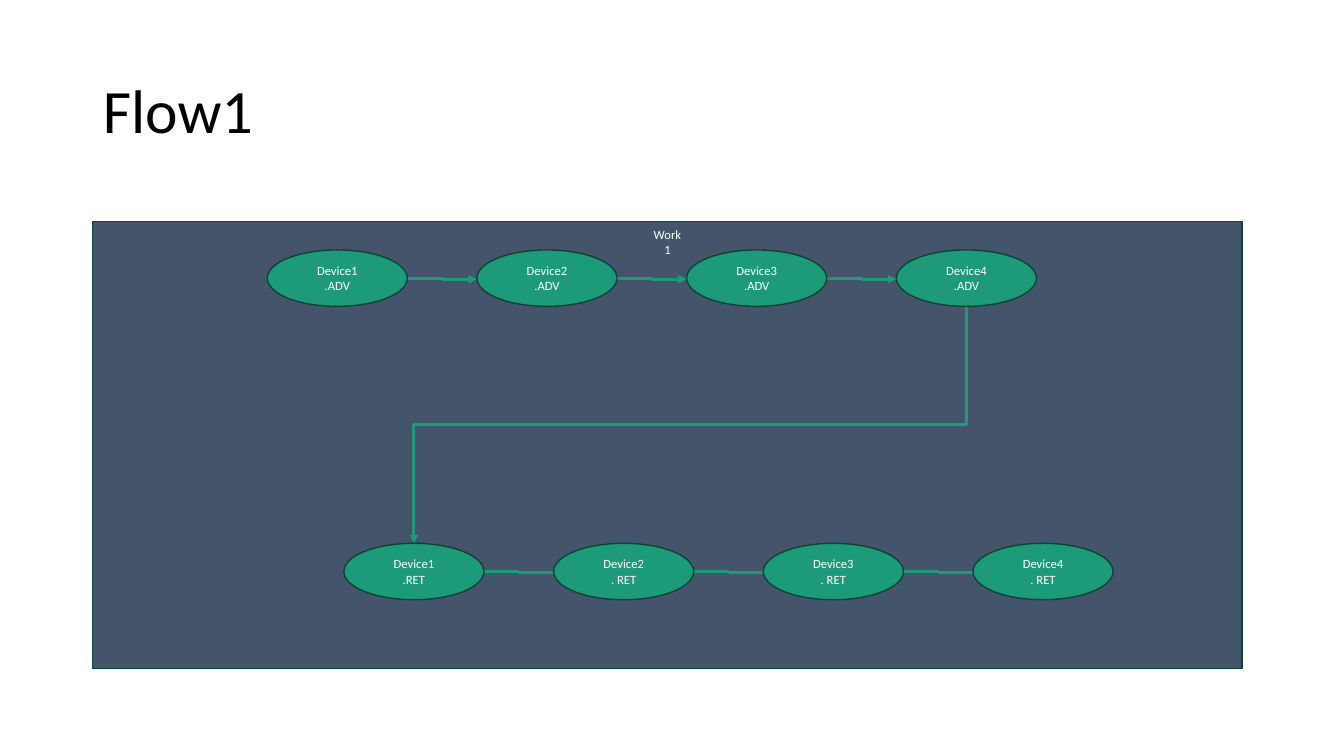
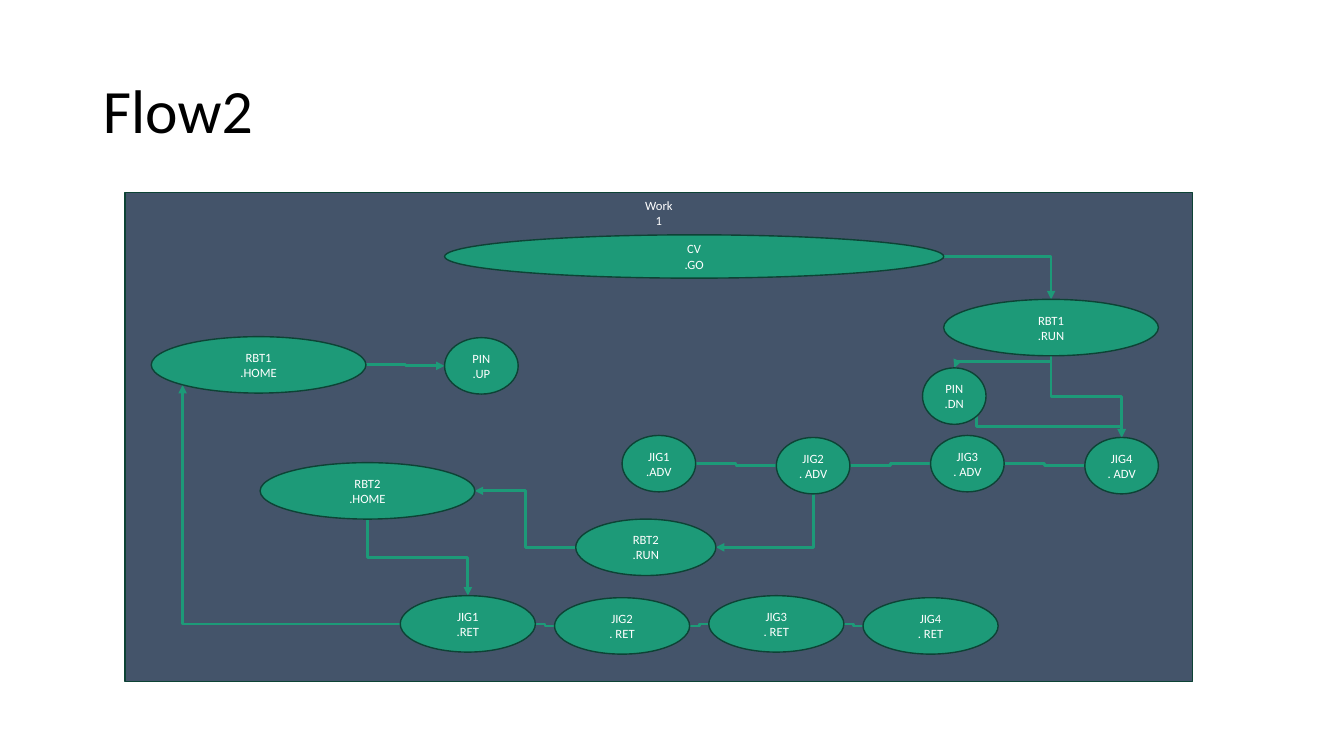
from dataclasses import dataclass
from lxml import etree
from pptx import Presentation
from pptx.dml.color import RGBColor
from pptx.enum import shapes, text
from pptx.oxml.ns import qn
from pptx.util import Inches, Pt


@dataclass(frozen=True)
class Theme:
    font: str = "Calibri"
    title_size: int = 44
    label_size: int = 9
    ink: str = "000000"
    label: str = "FFFFFF"
    panel: str = "44546A"
    node: str = "1D9A78"
    outline: str = "0D4335"
    outline_width: int = 1
    link_width: int = 2


THEME = Theme()
NODE_H = 0.56
DIAGONAL = 0.5 ** 0.5
SIDES = {
    "l": (-1, 0), "r": (1, 0), "t": (0, -1), "b": (0, 1),
    "bl": (-DIAGONAL, DIAGONAL), "br": (DIAGONAL, DIAGONAL),
}


def rgb(value):
    return RGBColor.from_string(value)


def style_text(p, size, color):
    for r in p.runs:
        r.font.name = THEME.font
        r.font.size = Pt(size)
        r.font.color.rgb = rgb(color)


def add_title(s, title):
    sp = s.shapes.title
    sp.left, sp.top = Inches(0.92), Inches(0.4)
    sp.width, sp.height = Inches(11.5), Inches(1.45)
    tf = sp.text_frame
    tf.text = title
    tf.vertical_anchor = text.MSO_ANCHOR.MIDDLE
    p = tf.paragraphs[0]
    p.alignment = text.PP_ALIGN.LEFT
    p.line_spacing = 0.9
    style_text(p, THEME.title_size, THEME.ink)


def add_block(s, kind, box, label, fill, anchor):
    sp = s.shapes.add_shape(kind, *map(Inches, box))
    sp.shadow.inherit = False
    sp.fill.solid()
    sp.fill.fore_color.rgb = rgb(fill)
    sp.line.color.rgb = rgb(THEME.outline)
    sp.line.width = Pt(THEME.outline_width)
    tf = sp.text_frame
    tf.word_wrap = True
    tf.margin_left = tf.margin_right = 0
    tf.vertical_anchor = anchor
    p = tf.paragraphs[0]
    p.text = label
    p.alignment = text.PP_ALIGN.CENTER
    style_text(p, THEME.label_size, THEME.label)


def site(box, side):
    x, y, w, h = box
    dx, dy = SIDES[side]
    return x + w / 2 * (1 + dx), y + h / 2 * (1 + dy)


def add_link(s, start, end, route, arrow=True):
    (x1, y1), (x2, y2) = start, end
    rotation = 0
    if route.startswith("v"):
        sign = 1 if x2 > x1 else -1
        rotation = 270 if sign > 0 else 90
        cx, cy = (x1 + x2) / 2, (y1 + y2) / 2
        half_w, half_h = sign * abs(y2 - y1) / 2, abs(x2 - x1) / 2
        x1, y1, x2, y2 = cx + half_w, cy - half_h, cx - half_w, cy + half_h
    link = s.shapes.add_connector(
        shapes.MSO_CONNECTOR.ELBOW, *map(Inches, (x1, y1, x2, y2)))
    link.line.color.rgb = rgb(THEME.node)
    link.line.width = Pt(THEME.link_width)
    props = link._element.spPr
    if rotation:
        props.find(qn("a:xfrm")).set("rot", str(rotation * 60000))
    props.find(qn("a:prstGeom")).set("prst", f"bentConnector{len(route)}")
    if arrow:
        etree.SubElement(props.find(qn("a:ln")), qn("a:tailEnd"), type="triangle")
    etree.SubElement(props, qn("a:effectLst"))


def node_row(labels, left, tops, width, pitch):
    return {label: (left + i * pitch, top, width, NODE_H)
            for i, (label, top) in enumerate(zip(labels, tops))}


def chain(labels, arrow, drop=0):
    return [(a, "r", b, "l", "hvh", arrow, drop) for a, b in zip(labels, labels[1:])]


def add_flow(s, panel, nodes, links):
    add_block(s, shapes.MSO_SHAPE.RECTANGLE, panel, "Work\n1",
              THEME.panel, text.MSO_ANCHOR.TOP)
    left, top = panel[:2]
    boxes = {label: (left + x, top + y, w, h)
             for label, (x, y, w, h) in nodes.items()}
    for source, out, target, into, route, arrow, drop in links:
        x, y = site(boxes[target], into)
        add_link(s, site(boxes[source], out), (x, y + drop), route, arrow)
    for label, box in boxes.items():
        add_block(s, shapes.MSO_SHAPE.OVAL, box, label,
                  THEME.node, text.MSO_ANCHOR.MIDDLE)


def device_flow(s, panel):
    advance = [f"Device{i}\n.ADV" for i in range(1, 5)]
    retreat = ["Device1\n.RET"] + [f"Device{i}\n. RET" for i in range(2, 5)]
    nodes = {
        **node_row(advance, 1.73, [0.28] * 4, 1.39, 2.08),
        **node_row(retreat, 2.49, [3.19] * 4, 1.39, 2.08),
    }
    links = [
        *chain(advance, True, 0.01),
        (advance[-1], "b", retreat[0], "t", "vhv", True, 0),
        *chain(retreat, False, 0.01),
    ]
    add_flow(s, panel, nodes, links)


def robot_flow(s, panel):
    advance = ["JIG1\n.ADV"] + [f"JIG{i}\n. ADV" for i in range(2, 5)]
    retreat = ["JIG1\n.RET"] + [f"JIG{i}\n. RET" for i in range(2, 5)]
    nodes = {
        "CV\n.GO": (3.17, 0.42, 4.95, 0.43),
        "RBT1\n.RUN": (8.12, 1.06, 2.13, NODE_H),
        "RBT2\n.RUN": (4.47, 3.24, 1.39, NODE_H),
        "RBT1\n.HOME": (0.26, 1.43, 2.13, NODE_H),
        "PIN\n.UP": (3.17, 1.44, 0.73, NODE_H),
        "RBT2\n.HOME": (1.34, 2.68, 2.13, NODE_H),
        "PIN\n.DN": (7.91, 1.74, 0.63, NODE_H),
        **node_row(advance, 4.93, [2.41, 2.43] * 2, 0.73, 1.53),
        **node_row(retreat, 2.73, [4, 4.02] * 2, 1.34, 1.53),
    }
    routes = [
        ("CV\n.GO", "r", "RBT1\n.RUN", "t", "hv"),
        ("RBT1\n.RUN", "b", advance[3], "t", "vhv"),
        (advance[1], "b", "RBT2\n.RUN", "r", "vh"),
        ("RBT2\n.HOME", "b", retreat[0], "t", "vhv"),
        (retreat[0], "l", "RBT1\n.HOME", "bl", "hv"),
        ("RBT2\n.RUN", "l", "RBT2\n.HOME", "r", "hvh"),
        ("RBT1\n.HOME", "r", "PIN\n.UP", "l", "hvh"),
        ("PIN\n.DN", "br", advance[3], "t", "vhv"),
        ("RBT1\n.RUN", "b", "PIN\n.DN", "t", "vhv"),
    ]
    links = [(*route, True, 0) for route in routes]
    add_flow(s, panel, nodes, links + chain(advance, False) + chain(retreat, False))


def main():
    prs = Presentation()
    prs.slide_width, prs.slide_height = Inches(13.33), Inches(7.5)
    flows = [
        ("Flow1", device_flow, (0.92, 2.2, 11.4, 4.43)),
        ("Flow2", robot_flow, (1.24, 1.91, 10.59, 4.85)),
    ]
    for title, draw, panel in flows:
        s = prs.slides.add_slide(prs.slide_layouts[5])
        add_title(s, title)
        draw(s, panel)
    prs.save("out.pptx")


if __name__ == "__main__":
    main()
